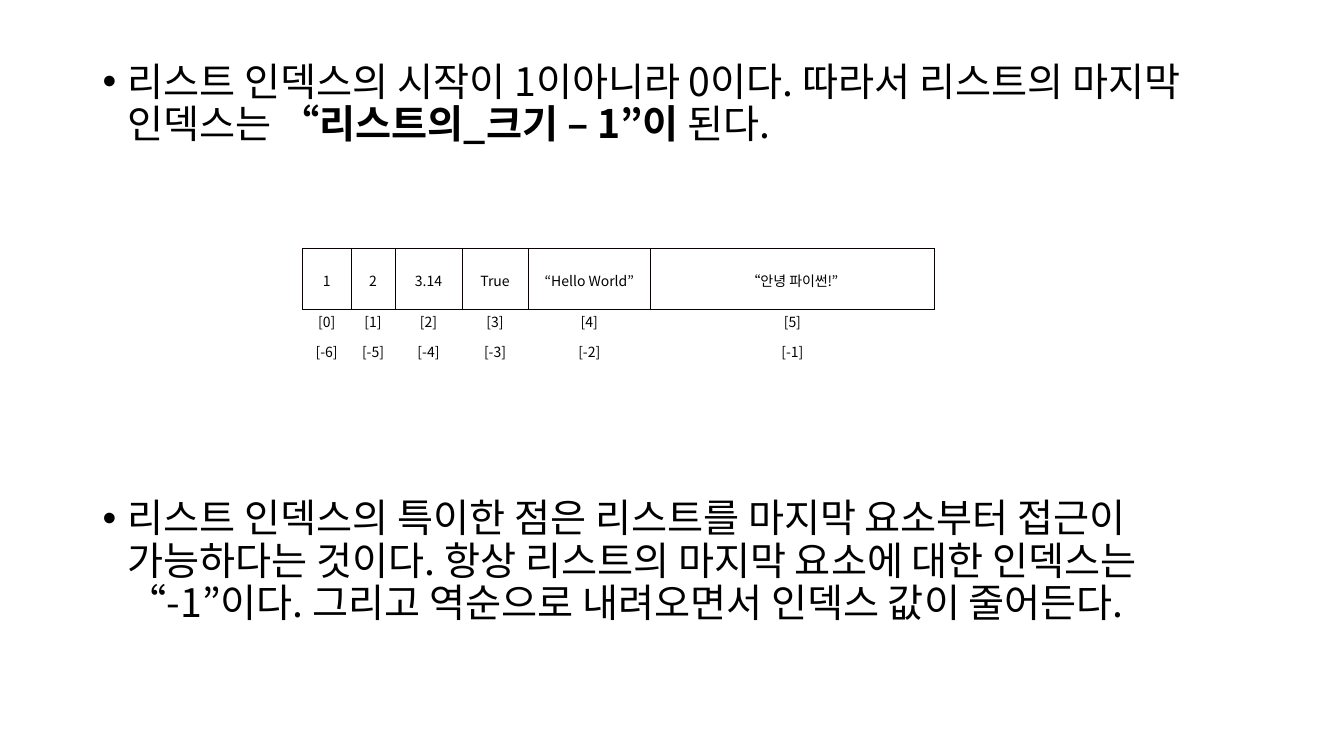
import pptx
import pptx.dml.color
import pptx.enum.text
import pptx.oxml.ns
import pptx.util
import lxml.etree

Inches = pptx.util.Inches
Pt = pptx.util.Pt
qn = pptx.oxml.ns.qn

FONT = "Noto Sans CJK KR"
INK, PAPER, RULE = "000000", "FFFFFF", "0A0000"


def colour(value):
    return pptx.dml.color.RGBColor.from_string(value)


def format_run(run, size, bold=False):
    run.font.size = Pt(size)
    run.font.bold = bold
    run.font.name = FONT
    run.font.color.rgb = colour(INK)


def add_bullet_point(slide, box, phrases):
    """Place one bulleted paragraph; phrases are (text, bold) pairs."""
    left, top, width, height = box
    point = slide.shapes.add_textbox(
        Inches(left), Inches(top), Inches(width), Inches(height))
    point.text_frame.word_wrap = True
    paragraph = point.text_frame.paragraphs[0]
    paragraph.line_spacing = 0.9
    for text, bold in phrases:
        run = paragraph.add_run()
        run.text = text
        format_run(run, 28, bold)

    # Hanging bullet
    properties = paragraph._p.get_or_add_pPr()
    properties.set("marL", str(Inches(0.25)))
    properties.set("indent", str(-Inches(0.25)))
    bullet_font = lxml.etree.SubElement(properties, qn("a:buFont"))
    bullet_font.set("typeface", "Arial")
    lxml.etree.SubElement(properties, qn("a:buChar")).set("char", "•")


def set_borders(cell, ruled_sides):
    properties = cell._tc.get_or_add_tcPr()
    for position, side in enumerate("LRTB"):
        line = lxml.etree.Element(qn("a:ln" + side))
        properties.insert(position, line)
        if side in ruled_sides:
            line.set("w", str(Pt(0.28)))
            fill = lxml.etree.SubElement(line, qn("a:solidFill"))
            lxml.etree.SubElement(fill, qn("a:srgbClr")).set("val", RULE)
        else:
            line.set("w", "0")
            lxml.etree.SubElement(line, qn("a:noFill"))


def add_index_table(slide, box, values, column_widths):
    """Show the list values above their forward and backward indexes."""
    left, top, width, height = box
    count = len(values)
    rows = [
        values,
        [f"[{index}]" for index in range(count)],
        [f"[{index - count}]" for index in range(count)],
    ]
    index_height = 0.3
    row_heights = [height - 2 * index_height, index_height, index_height]
    ruled_sides = ["LRTB", "T", ""]
    top_margins = [0.22, 0.02, 0.02]

    table = slide.shapes.add_table(
        len(rows), count, Inches(left), Inches(top),
        Inches(width), Inches(height)).table
    table.first_row = False
    table.horz_banding = False
    for column, column_width in zip(table.columns, column_widths):
        column.width = Inches(column_width)

    for r, texts in enumerate(rows):
        table.rows[r].height = Inches(row_heights[r])
        for c, text in enumerate(texts):
            cell = table.cell(r, c)
            cell.margin_left = cell.margin_right = Inches(0.07)
            cell.margin_top = Inches(top_margins[r])
            cell.margin_bottom = Inches(0.02)
            cell.fill.solid()
            cell.fill.fore_color.rgb = colour(PAPER)
            paragraph = cell.text_frame.paragraphs[0]
            paragraph.text = text
            paragraph.alignment = pptx.enum.text.PP_ALIGN.CENTER
            format_run(paragraph.runs[0], 10)
            set_borders(cell, ruled_sides[r])


def build_slide(presentation):
    slide = presentation.slides.add_slide(presentation.slide_layouts[6])

    # Indexes start at zero
    add_bullet_point(slide, (0.92, 0.57, 11.5, 1), [
        ("리스트 인덱스의 시작이 1이아니라 0이다. 따라서 리스트의 마지막 인덱스는 ", False),
        ("“리스트의_크기 – 1”이", True),
        (" 된다.", False),
    ])

    # Example list
    add_index_table(
        slide, (3, 2.46, 6.27, 1.21),
        ["1", "2", "3.14", "True", "“Hello World”", "“안녕 파이썬!”"],
        [0.48, 0.44, 0.66, 0.66, 1.21, 2.82])

    # Indexes from the end
    add_bullet_point(slide, (0.92, 4.9, 11.5, 1.4), [
        ("리스트 인덱스의 특이한 점은 리스트를 마지막 요소부터 접근이 가능하다는 것이다. "
         "항상 리스트의 마지막 요소에 대한 인덱스는 “-1”이다. "
         "그리고 역순으로 내려오면서 인덱스 값이 줄어든다.", False),
    ])


presentation = pptx.Presentation()
presentation.slide_width = Inches(13.33)
presentation.slide_height = Inches(7.5)
build_slide(presentation)
presentation.save("out.pptx")
